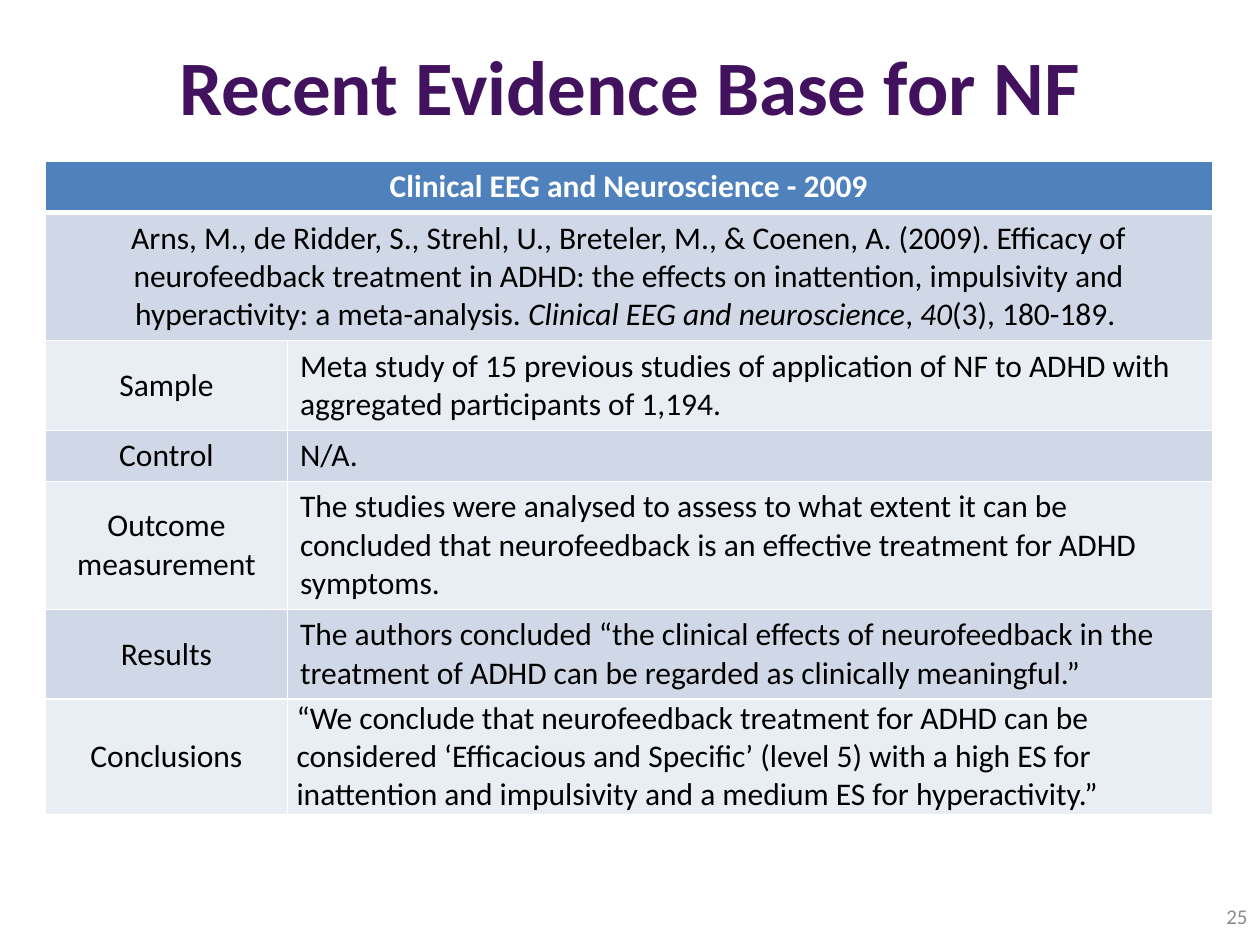
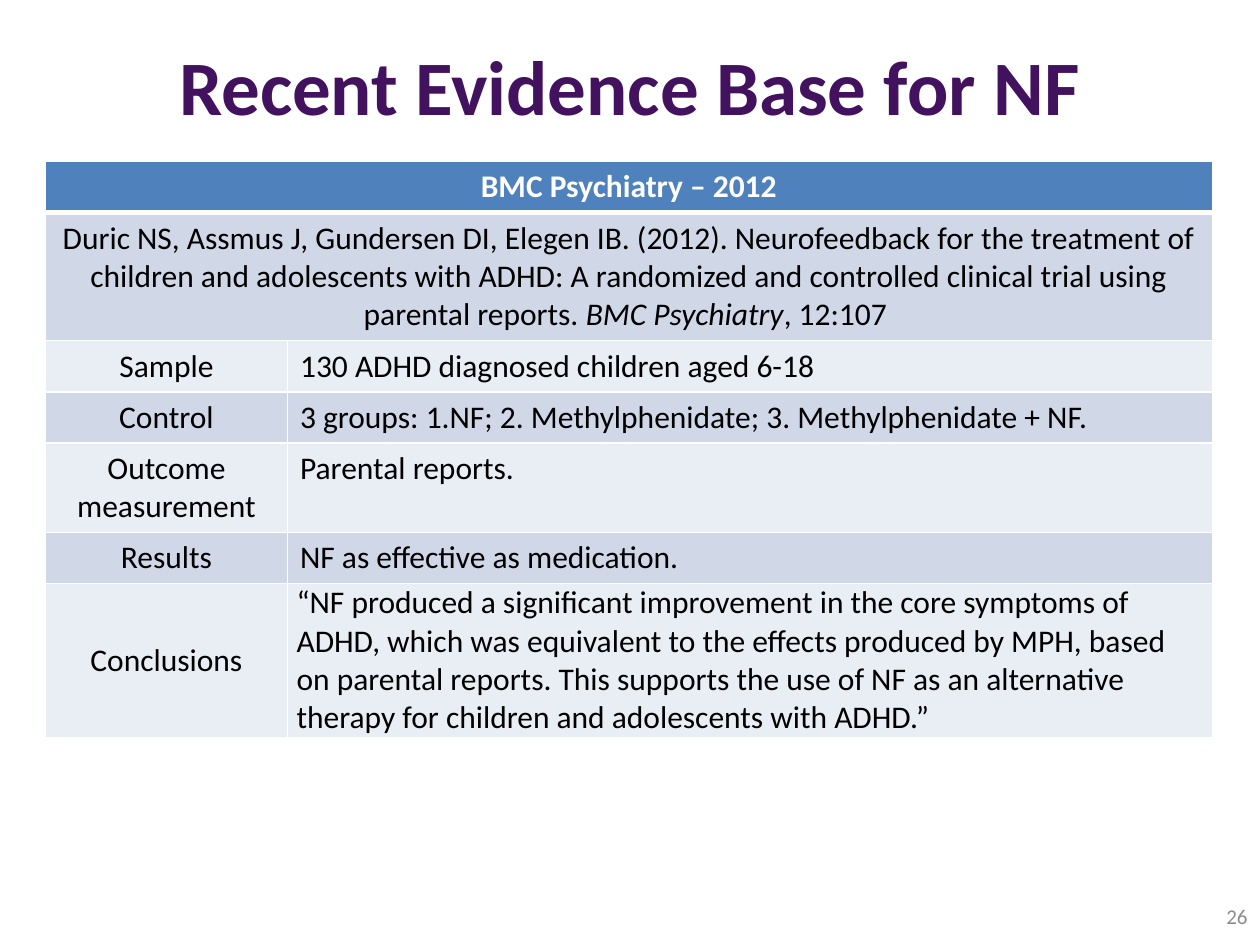
from lxml import etree
from pptx import Presentation
from pptx.dml.color import RGBColor
from pptx.enum import text
from pptx.oxml import ns
from pptx.util import Pt

TITLE = "Recent Evidence Base for NF"
LABELS = ["Sample", "Control", "Outcome measurement", "Results", "Conclusions"]

# Citations are (text, italic) runs; lines holds the line count of each table row.
STUDIES = [
    {
        "page": 25,
        "journal": "Clinical EEG and Neuroscience - 2009",
        "citation": [
            ("Arns, M., de Ridder, S., Strehl, U., Breteler, M., & Coenen, A. (2009). "
             "Efficacy of neurofeedback treatment in ADHD: the effects on inattention, "
             "impulsivity and hyperactivity: a meta-analysis. ", False),
            ("Clinical EEG and neuroscience", True),
            (", ", False),
            ("40", True),
            ("(3), 180-189. ", False),
        ],
        "findings": [
            "Meta study of 15 previous studies of application of NF to ADHD with "
            "aggregated participants of 1,194.",
            "N/A.",
            "The studies were analysed to assess to what extent it can be concluded that "
            "neurofeedback is an effective treatment for ADHD symptoms.",
            "The authors concluded “the clinical effects of neurofeedback in the treatment "
            "of ADHD can be regarded as clinically meaningful.”",
            "“We conclude that neurofeedback treatment for ADHD can be considered "
            "‘Efficacious and Specific’ (level 5) with a high ES for inattention and "
            "impulsivity and a medium ES for hyperactivity.”",
        ],
        "lines": [1, 3, 2, 1, 3, 2, 3],
    },
    {
        "page": 26,
        "journal": "BMC Psychiatry – 2012",
        "citation": [
            ("Duric NS, Assmus J, Gundersen DI, Elegen IB. (2012). Neurofeedback for the "
             "treatment of children and adolescents with ADHD: A randomized and controlled "
             "clinical trial using parental reports. ", False),
            ("BMC Psychiatry", True),
            (", 12:107 ", False),
        ],
        "findings": [
            "130 ADHD diagnosed children aged 6-18",
            "3 groups: 1.NF; 2. Methylphenidate; 3. Methylphenidate + NF.",
            "Parental reports.",
            "NF as effective as medication.",
            "“NF produced a significant improvement in the core symptoms of ADHD, which was "
            "equivalent to the effects produced by MPH, based on parental reports. This "
            "supports the use of NF as an alternative therapy for children and adolescents "
            "with ADHD.”",
        ],
        "lines": [1, 3, 1, 1, 2, 1, 4],
    },
]

FONT = "Calibri"
PURPLE = RGBColor(0x43, 0x12, 0x5F)
GREY = RGBColor(0x8C, 0x8C, 0x8C)
BLACK = RGBColor(0x00, 0x00, 0x00)
WHITE = RGBColor(0xFF, 0xFF, 0xFF)
HEADER_BLUE = RGBColor(0x4F, 0x81, 0xBD)
BANDS = [RGBColor(0xE9, 0xED, 0xF4), RGBColor(0xD0, 0xD8, 0xE8)]

TABLE_LEFT, TABLE_TOP = 26, 92.3
COLUMN_WIDTHS = [138.3, 528.5]
LINE_HEIGHT, ROW_PADDING = 22, 7.2
CENTER, RIGHT, LEFT = text.PP_ALIGN.CENTER, text.PP_ALIGN.RIGHT, text.PP_ALIGN.LEFT
TOP, MIDDLE = text.MSO_ANCHOR.TOP, text.MSO_ANCHOR.MIDDLE


def write(tf, runs, size, color, align, bold=False):
    """Fill the first paragraph with (text, italic) runs."""
    p = tf.paragraphs[0]
    p.alignment = align
    for words, italic in runs:
        r = p.add_run()
        r.text = words
        r.font.name, r.font.size = FONT, Pt(size)
        r.font.bold, r.font.italic = bold, italic
        r.font.color.rgb = color


def set_borders(cell, top, bottom):
    """Draw white borders; they must come before the fill in the cell properties."""
    tc_pr = cell._tc.get_or_add_tcPr()
    widths = {"lnL": 1, "lnR": 1, "lnT": top, "lnB": bottom}
    for i, (tag, width) in enumerate(widths.items()):
        ln = etree.Element(ns.qn(f"a:{tag}"), w=str(Pt(width)))
        fill = etree.SubElement(ln, ns.qn("a:solidFill"))
        etree.SubElement(fill, ns.qn("a:srgbClr"), val=str(WHITE))
        tc_pr.insert(i, ln)


def add_title(s):
    title = s.shapes.title
    title.left, title.top, title.width, title.height = Pt(36), Pt(3.6), Pt(648), Pt(90)
    title.text_frame.vertical_anchor = MIDDLE
    write(title.text_frame, [(TITLE, False)], 44, PURPLE, CENTER, bold=True)


def add_page_number(s, page):
    tf = s.shapes.add_textbox(Pt(674), Pt(509), Pt(46), Pt(28.8)).text_frame
    tf.word_wrap = True
    tf.vertical_anchor = MIDDLE
    write(tf, [(str(page), False)], 12, GREY, RIGHT)


def add_study_table(s, study):
    heights = [n * LINE_HEIGHT + ROW_PADDING for n in study["lines"]]
    heights[-1] -= ROW_PADDING
    table = s.shapes.add_table(
        len(heights), len(COLUMN_WIDTHS), Pt(TABLE_LEFT), Pt(TABLE_TOP),
        Pt(sum(COLUMN_WIDTHS)), Pt(sum(heights))).table
    for column, width in zip(table.columns, COLUMN_WIDTHS):
        column.width = Pt(width)
    for i, (row, height) in enumerate(zip(table.rows, heights)):
        row.height = Pt(height)
        for cell in row.cells:
            cell.fill.solid()
            cell.fill.fore_color.rgb = BANDS[i % 2] if i else HEADER_BLUE
            set_borders(cell, top=3 if i == 1 else 1, bottom=1 if i else 3)

    for i in (0, 1):
        table.cell(i, 0).merge(table.cell(i, 1))
    journal, citation = table.cell(0, 0), table.cell(1, 0)
    write(journal.text_frame, [(study["journal"], False)], 18, WHITE, CENTER, bold=True)
    citation.vertical_anchor = MIDDLE
    write(citation.text_frame, study["citation"], 18, BLACK, CENTER)

    for i, (label, finding) in enumerate(zip(LABELS, study["findings"]), start=2):
        name, detail = table.cell(i, 0), table.cell(i, 1)
        name.vertical_anchor, detail.vertical_anchor = MIDDLE, TOP
        write(name.text_frame, [(label, False)], 18, BLACK, CENTER)
        write(detail.text_frame, [(finding, False)], 18, BLACK, LEFT)
    # The last detail cell is set tight, without vertical padding.
    detail.margin_left = detail.margin_right = Pt(5.2)
    detail.margin_top = detail.margin_bottom = Pt(0)


def main():
    prs = Presentation()
    prs.slide_width, prs.slide_height = Pt(720), Pt(540)
    for study in STUDIES:
        s = prs.slides.add_slide(prs.slide_layouts[5])
        add_title(s)
        add_page_number(s, study["page"])
        add_study_table(s, study)
    prs.save("out.pptx")


if __name__ == "__main__":
    main()
